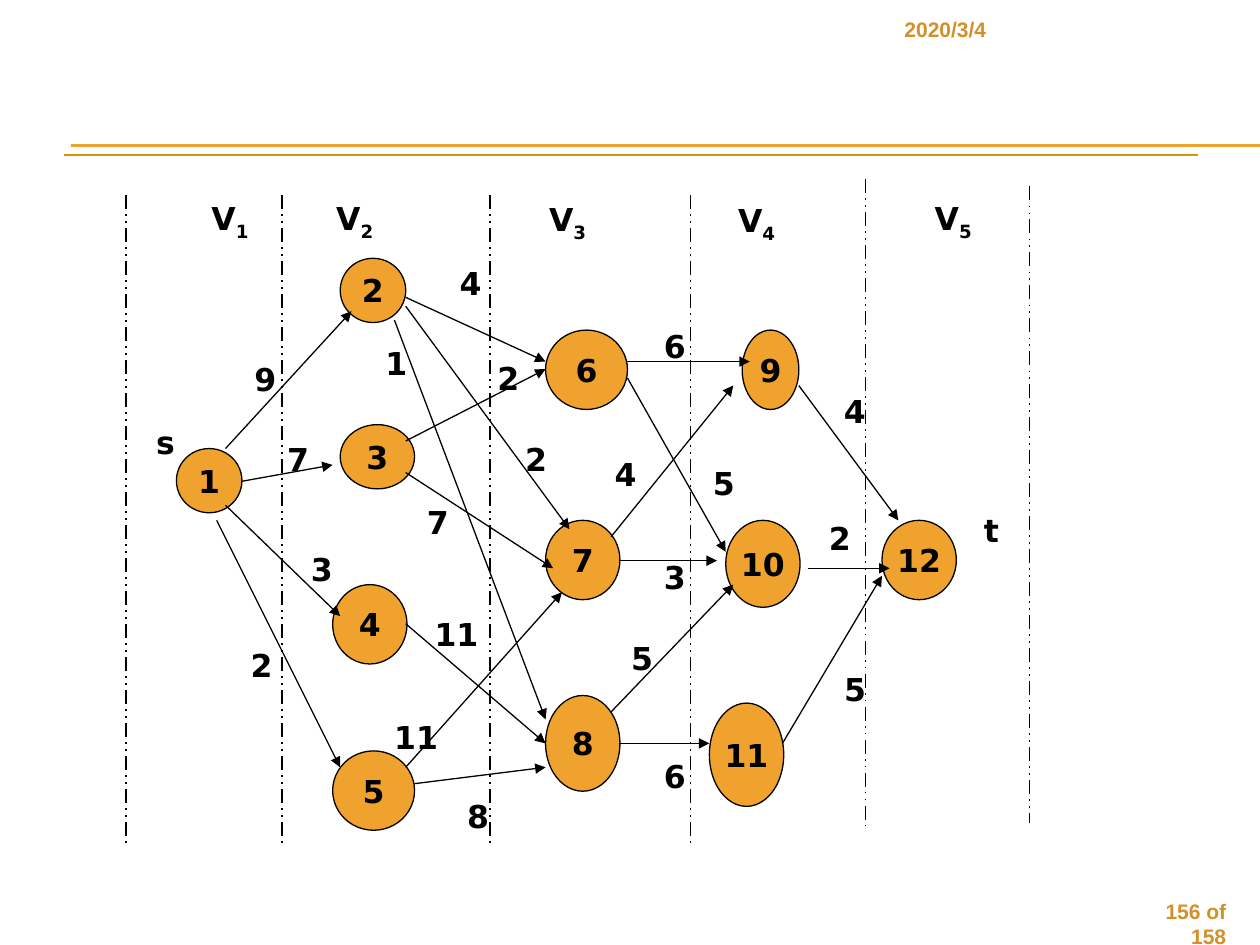
"""Build a slide with a five-stage weighted graph from s to t."""
from lxml import etree
from pptx import Presentation, util as u
from pptx.dml.color import RGBColor
from pptx.enum import dml, shapes, text
from pptx.oxml import ns

COLUMNS, ROWS = 100, 75
WIDTH, HEIGHT = u.Inches(10), u.Inches(7.5)
BLACK = RGBColor(0x00, 0x00, 0x00)
ORANGE = RGBColor(0xF0, 0xA2, 0x2E)
GOLD = RGBColor(0xCC, 0x99, 0x00)
AMBER = RGBColor(0xD4, 0x8F, 0x29)
LABEL_FONT, FOOTER_FONT = "DejaVu Sans", "Arial"
LABEL_HEIGHT = 4

HEADER_RULES = [
    (5.6, 11.5, 100, ORANGE, 0.75),
    (5.6, 11.6, 100, ORANGE, 0.75),
    (5.1, 12.3, 95.1, GOLD, 1.5),
]
STAGE_BORDERS = [
    (10, 15.5, 67.3), (22.4, 15.5, 67.3), (38.9, 15.5, 67.3),
    (54.8, 15.5, 67.3), (68.7, 14.2, 66), (81.7, 14.8, 65.3),
]
STAGE_LABELS = [
    (15.8, 15.3, 5.2), (25.7, 15.3, 6.5), (42.6, 15.4, 7.2),
    (57.6, 15.5, 8.5), (73.2, 15.3, 8.5),
]
NODES = [
    (14, 35.6, 5.2, 5.1), (27, 20.5, 5.2, 5.1), (27, 33.7, 5.9, 5.1),
    (26.4, 46.4, 5.9, 6.3), (26.4, 59.6, 6.5, 6.3), (43.3, 26.2, 6.5, 6.3),
    (43.3, 41.3, 5.9, 6.3), (43.3, 55.2, 5.9, 7.6), (58.9, 26.2, 4.5, 6.3),
    (57.6, 41.3, 5.9, 6.9), (56.3, 55.8, 5.9, 8.2), (70, 41.3, 5.9, 6.3),
]
EDGES = [
    ((17.9, 35.6, 27.9, 24.7), "9", (19.2, 28.1, 3.9)),
    ((19.2, 38.2, 26.4, 36.9), "7", (21.8, 34.4, 2.6)),
    ((17.9, 40.1, 27, 48.9), "3", (23.7, 43.2, 4.6)),
    ((17.2, 41.3, 27, 60.9), "2", (18.9, 50.8, 3.9)),
    ((32.2, 23.6, 43.3, 28.7), "4", (35.5, 20.5, 4.6)),
    ((32.2, 24.3, 45.2, 42), "2", (40.7, 34.4, 3.9)),
    ((31.3, 25.4, 43.3, 57.1), "1", (29.6, 26.8, 2.6)),
    ((32.2, 35, 43.3, 29.3), "2", (38.5, 28, 4.6)),
    ((32.2, 37.5, 43.9, 45.1), "7", (32.9, 39.4, 3.2)),
    ((32.2, 49.5, 43.3, 59), "11", (33.5, 48.3, 6.5)),
    ((32.2, 60.9, 44.6, 47), "11", (30.3, 56.5, 5.9)),
    ((32.9, 62.2, 43.3, 60.9), "8", (36.1, 62.8, 5.2)),
    ((49.8, 28.7, 59.5, 28.7), "6", (51.7, 25.5, 5.9)),
    ((49.8, 30, 57.6, 43.8), "5", (55.6, 36.3, 4.5)),
    ((48.5, 42.6, 58.2, 30.6), "4", (47.8, 35.6, 3.9)),
    ((49.1, 44.5, 56.9, 44.5), "3", (51.7, 43.8, 3.3)),
    ((48.5, 56.5, 58.2, 46.4), "5", (49.1, 50.2, 3.9)),
    ((49.1, 59, 56.3, 59), "6", (51.7, 59.6, 3.3)),
    ((64.1, 45.1, 70.6, 45.1), "2", (64.8, 40.7, 3.9)),
    ((62.1, 59, 70, 45.7), "5", (66, 52.7, 3.9)),
    ((63.4, 30.6, 71.3, 41.3), "4", (66, 30.6, 3.3)),
]
TERMINALS = [("s", (11.4, 33.1, 3.3)), ("t", (77.1, 40.1, 3.9))]


def place(*lengths):
    """Turn alternating column and row counts into slide lengths."""
    units = (WIDTH / COLUMNS, HEIGHT / ROWS)
    return [round(length * units[i % 2]) for i, length in enumerate(lengths)]


def style(font, name, size, color):
    """Set a bold font."""
    font.name, font.size, font.bold = name, u.Pt(size), True
    font.color.rgb = color


def add_line(page, ends, color=BLACK, width=0.75, dash=None, arrow=False):
    """Draw a straight line, optionally dashed or with an arrowhead."""
    line = page.shapes.add_connector(shapes.MSO_CONNECTOR.STRAIGHT, *place(*ends))
    line.line.color.rgb, line.line.width = color, u.Pt(width)
    if dash:
        line.line.dash_style = dash
    if arrow:
        tail = etree.SubElement(line.line._get_or_add_ln(), ns.qn("a:tailEnd"))
        tail.set("type", "triangle")
    etree.SubElement(line._element.spPr, ns.qn("a:effectLst"))


def add_text(page, area, words, name=LABEL_FONT, size=18, color=BLACK,
             align=text.PP_ALIGN.LEFT):
    """Add a one-paragraph text box and return its paragraph."""
    box = page.shapes.add_textbox(*place(*area))
    box.text_frame.word_wrap = True
    para = box.text_frame.paragraphs[0]
    para.text, para.alignment = words, align
    style(para.font, name, size, color)
    return para


def add_label(page, spot, words):
    """Add a bold label of standard height."""
    return add_text(page, (*spot, LABEL_HEIGHT), words)


def add_stage_label(page, spot, number):
    """Add a V label with a subscript stage number."""
    span = add_label(page, spot, "V").add_run()
    span.text = str(number)
    span.font._element.set("baseline", "-25000")


def add_node(page, area, number):
    """Add a numbered ellipse."""
    node = page.shapes.add_shape(shapes.MSO_SHAPE.OVAL, *place(*area))
    node.shadow.inherit = False
    node.fill.solid()
    node.fill.fore_color.rgb = ORANGE
    node.line.color.rgb, node.line.width = BLACK, u.Pt(0.75)
    frame = node.text_frame
    frame.word_wrap, frame.vertical_anchor = False, text.MSO_ANCHOR.MIDDLE
    para = frame.paragraphs[0]
    para.text, para.alignment = str(number), text.PP_ALIGN.CENTER
    style(para.font, LABEL_FONT, 18, BLACK)


def add_header_and_footer(page):
    """Add the header rules, the date and the page number."""
    for left, row, right, color, width in HEADER_RULES:
        add_line(page, (left, row, right, row), color, width)
    add_text(page, (70.8, 0.8, 27.5, 3.2), "2020/3/4", FOOTER_FONT, 12, AMBER)
    add_text(page, (90, 70.8, 8.3, 2.7), "156 of 158", FOOTER_FONT, 12, AMBER,
             text.PP_ALIGN.RIGHT)


def main():
    """Build and save the deck."""
    deck = Presentation()
    deck.slide_width, deck.slide_height = WIDTH, HEIGHT
    page = deck.slides.add_slide(deck.slide_layouts[6])
    add_header_and_footer(page)
    for number, area in enumerate(NODES, 1):
        add_node(page, area, number)
    for ends, _, _ in EDGES:
        add_line(page, ends, arrow=True)
    for _, weight, spot in EDGES:
        add_label(page, spot, weight)
    for name, spot in TERMINALS:
        add_label(page, spot, name)
    for number, spot in enumerate(STAGE_LABELS, 1):
        add_stage_label(page, spot, number)
    for column, top, bottom in STAGE_BORDERS:
        add_line(page, (column, top, column, bottom), width=1,
                 dash=dml.MSO_LINE.DASH_DOT_DOT)
    deck.save("out.pptx")


main()
